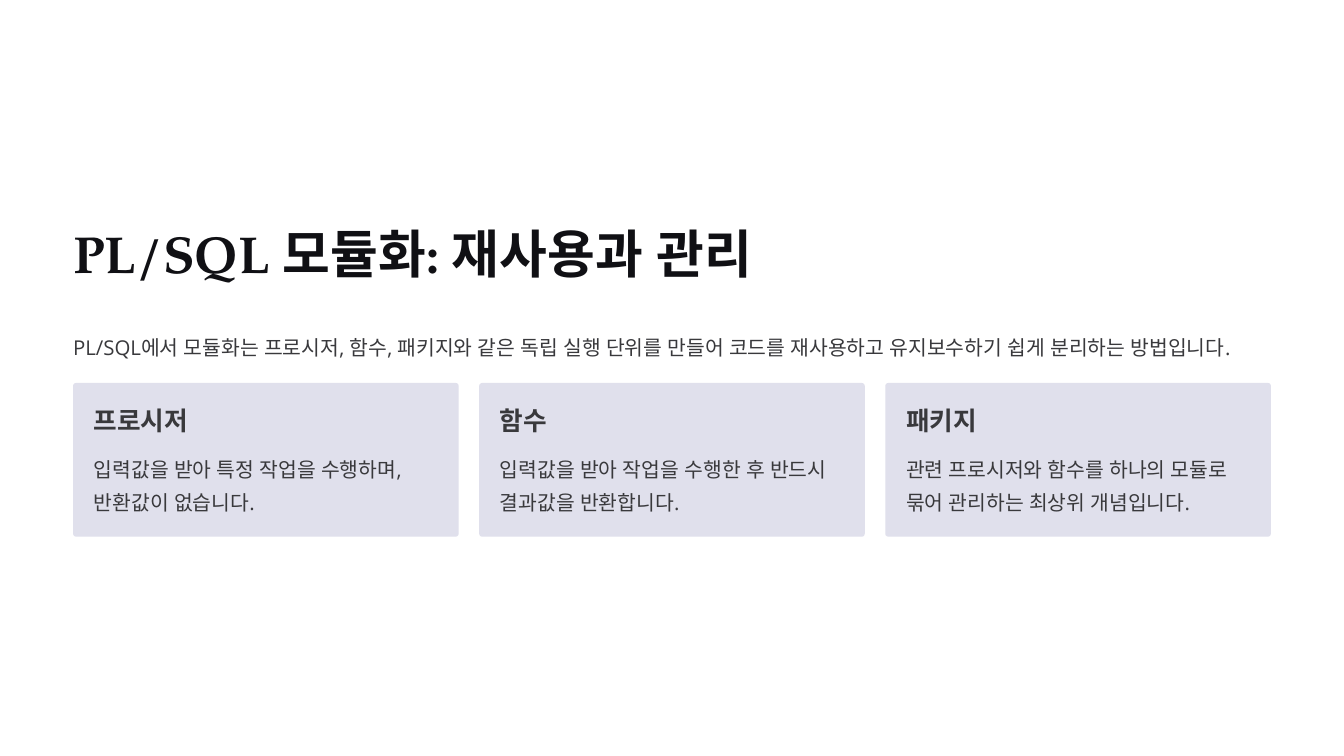
from lxml import etree
from pptx import Presentation
from pptx.dml.color import RGBColor
from pptx.enum.shapes import MSO_SHAPE
from pptx.oxml.ns import qn
from pptx.util import Cm, Pt

ROUNDED = MSO_SHAPE.ROUNDED_RECTANGLE
INK = RGBColor(0x10, 0x10, 0x14)
GREY = RGBColor(0x39, 0x39, 0x3C)
LAVENDER = RGBColor(0xE0, 0xE0, 0xEC)
HEADING_FONT = "TeX Gyre Pagella"
BODY_FONT = "Open Sans"

LEFT = 2.21
CARD_TOP = 11.58
CARD_WIDTH = 11.66
CARD_HEIGHT = 4.65
CARD_PITCH = 12.28
PADDING = 0.63
CARDS = [
    ("프로시저", "입력값을 받아 특정 작업을 수행하며, 반환값이 없습니다."),
    ("함수", "입력값을 받아 작업을 수행한 후 반드시 결과값을 반환합니다."),
    ("패키지", "관련 프로시저와 함수를 하나의 모듈로 묶어 관리하는 최상위 개념입니다."),
]


def write(frame, text, *, size, line_height, font=BODY_FONT, color=GREY, bold=False):
    paragraph = frame.paragraphs[0]
    paragraph.line_spacing = Pt(line_height)
    run = paragraph.add_run()
    run.text = text
    run.font.size = Pt(size)
    run.font.bold = bold
    run.font.color.rgb = color
    run.font.name = font
    properties = run._r.get_or_add_rPr()
    etree.SubElement(properties, qn("a:ea"), typeface=BODY_FONT)


class SlideBuilder:
    def __init__(self, slide):
        self.slide = slide

    def text(self, left, top, width, height, text, wrap=False, **style):
        box = self.slide.shapes.add_textbox(Cm(left), Cm(top), Cm(width), Cm(height))
        frame = box.text_frame
        frame.word_wrap = wrap
        frame.margin_left = frame.margin_right = 0
        frame.margin_top = frame.margin_bottom = 0
        write(frame, text, **style)

    def heading(self, left, top, width, height, text, **style):
        self.text(left, top, width, height, text, font=HEADING_FONT, bold=True, **style)

    def body(self, left, top, width, height, text, wrap=False):
        self.text(left, top, width, height, text, wrap, size=17.5, line_height=28.5)

    def card(self, left, title, description):
        shape = self.slide.shapes.add_shape(
            ROUNDED, Cm(left), Cm(CARD_TOP), Cm(CARD_WIDTH), Cm(CARD_HEIGHT))
        shape.adjustments[0] = 0.02
        shape.shadow.inherit = False
        shape.fill.solid()
        shape.fill.fore_color.rgb = LAVENDER
        shape.line.fill.background()
        inner = left + PADDING
        self.heading(inner, CARD_TOP + PADDING, 7.87, 0.99, title, size=22, line_height=27.5)
        self.body(inner, 13.56, CARD_WIDTH - 2 * PADDING, 2.01, description, wrap=True)


def main():
    presentation = Presentation()
    presentation.slide_width = Cm(40.64)
    presentation.slide_height = Cm(22.86)
    slide = presentation.slides.add_slide(presentation.slide_layouts[6])
    builder = SlideBuilder(slide)
    builder.heading(LEFT, 6.63, 23, 1.98, "PL/SQL 모듈화: 재사용과 관리",
                    size=44.5, line_height=55.5, color=INK)
    builder.body(LEFT, 9.86, 36.22, 1.02,
                 "PL/SQL에서 모듈화는 프로시저, 함수, 패키지와 같은 독립 실행 단위를 만들어 "
                 "코드를 재사용하고 유지보수하기 쉽게 분리하는 방법입니다.")
    for index, (title, description) in enumerate(CARDS):
        builder.card(LEFT + index * CARD_PITCH, title, description)
    presentation.save("out.pptx")


if __name__ == "__main__":
    main()
